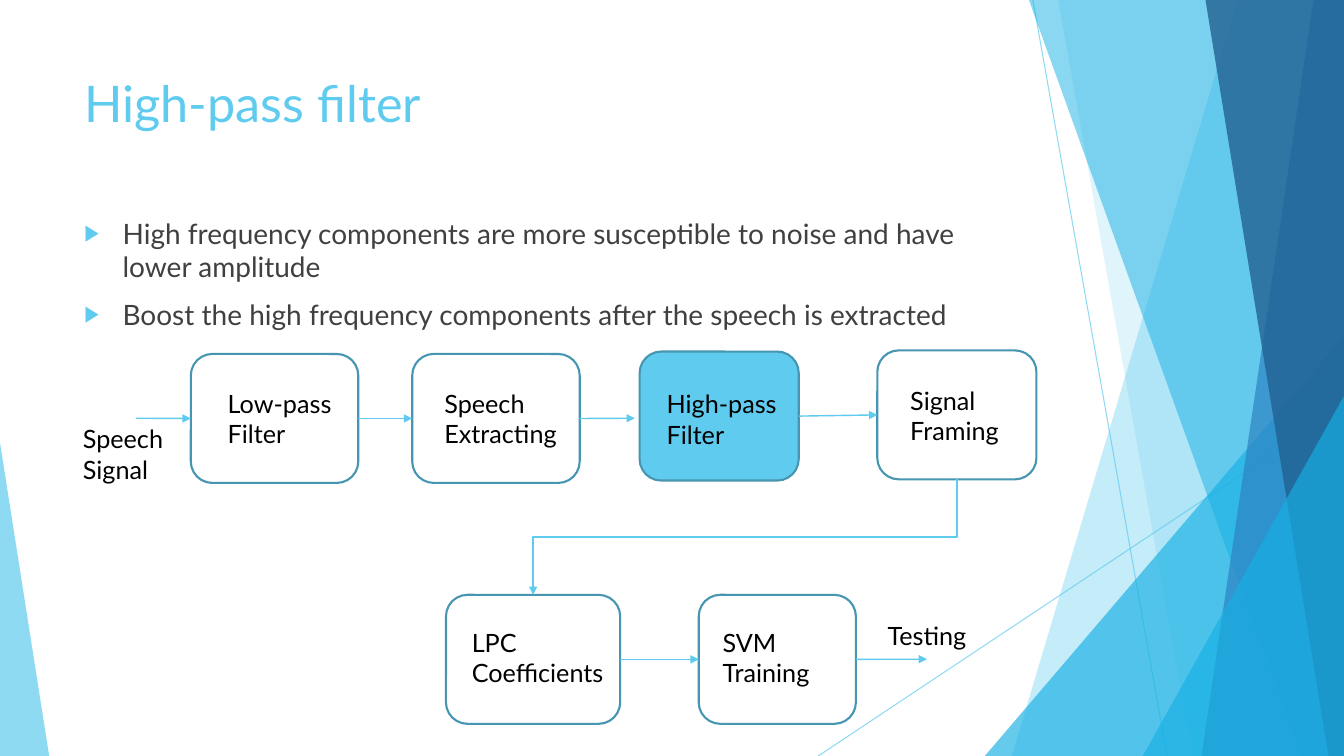
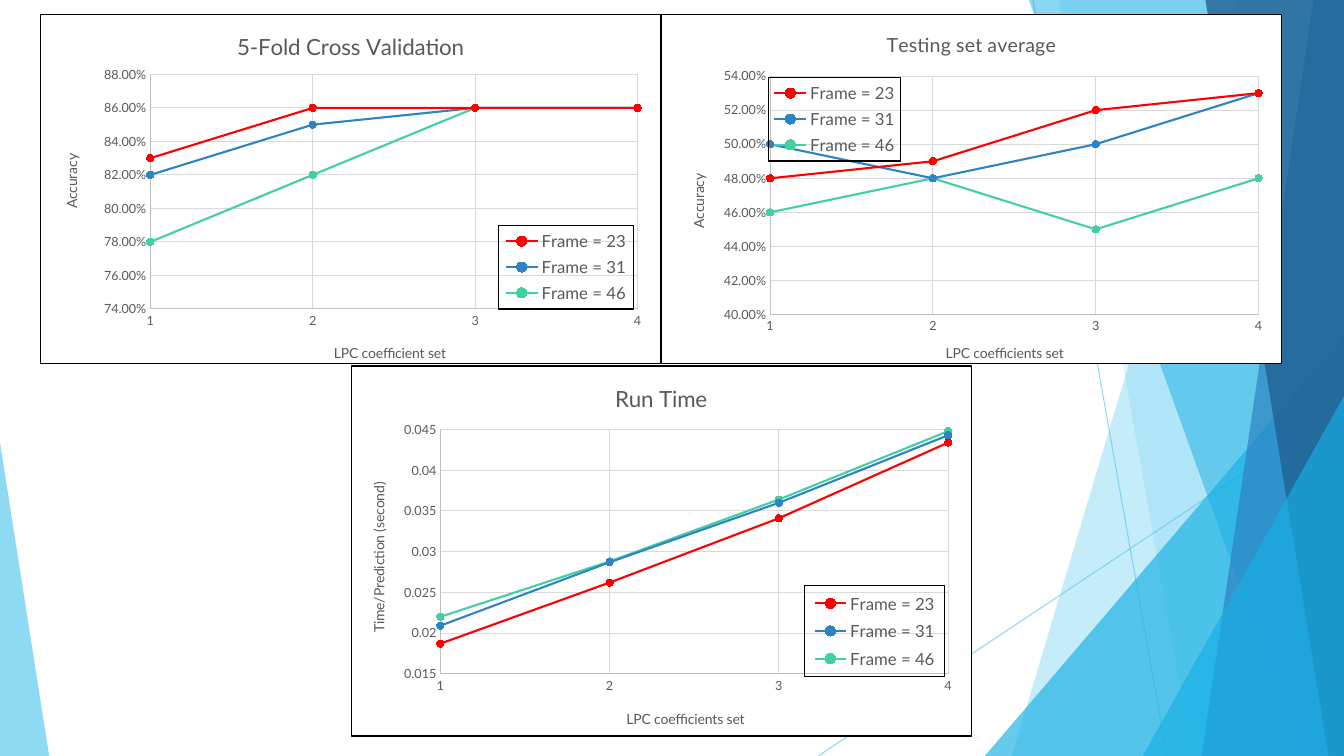
"""Build two slides on speech filtering: a flow diagram and its result charts."""
from lxml import etree
from pptx import Presentation
from pptx import util as u
from pptx.chart import data as cd
from pptx.dml import color as dc
from pptx.enum import chart as ec, shapes as es, text as et
from pptx.oxml import ns, parse_xml

WIDE, HIGH = 33.87, 19.05
HUES = {
    "sky": "5FCBEF", "cyan": "17B0E4", "blue": "2E83C3", "navy": "226292",
    "edge": "4696B1", "body": "404040", "black": "000000", "white": "FFFFFF",
    "gray": "595959", "axis": "BFBFBF", "grid": "D9D9D9",
    "red": "FF0000", "mint": "42D0A2",
}
FONT = "Lato"
ROUND = es.MSO_SHAPE.ROUNDED_RECTANGLE
PEAK = es.MSO_SHAPE.ISOSCELES_TRIANGLE


def put(item, vals):
    for key, val in vals.items():
        setattr(item, key, val)


def rgb(hue):
    return dc.RGBColor.from_string(HUES[hue])


def sub(node, tag, **vals):
    return etree.SubElement(node, ns.qn(tag), **vals)


def style(font, size, hue):
    put(font, {"name": FONT, "size": u.Pt(size), "bold": False})
    font.color.rgb = rgb(hue)


def stroke(line, hue, width):
    line.color.rgb = rgb(hue)
    line.width = u.Pt(width)


def fade(item, part):
    for node in item.element.spPr.iter(ns.qn("a:srgbClr")):
        sub(node, "a:alpha", val=str(part * 1000))


def frame(fill):
    paint = f'<a:solidFill><a:srgbClr val="{HUES[fill]}"/></a:solidFill>' if fill else "<a:noFill/>"
    return parse_xml(
        f'<c:spPr {ns.nsdecls("c", "a")}>{paint}<a:ln w="9525"><a:solidFill>'
        f'<a:srgbClr val="{HUES["black"]}"/></a:solidFill></a:ln></c:spPr>')


def layout(box, inner=False):
    node = parse_xml(f'<c:layout {ns.nsdecls("c")}><c:manualLayout/></c:layout>')
    spot = node[0]
    if inner:
        sub(spot, "c:layoutTarget", val="inner")
    for tag in ("xMode", "yMode"):
        sub(spot, "c:" + tag, val="edge")
    for tag, val in zip("xywh", box):
        sub(spot, "c:" + tag, val=str(val))
    return node


def lay(host, after, box, inner=False):
    for old in host.findall(ns.qn("c:layout")):
        host.remove(old)
    node = layout(box, inner)
    if after:
        host.find(ns.qn(after)).addnext(node)
    else:
        host.insert(0, node)


class Deck:
    def __init__(self):
        self.show = Presentation()
        put(self.show, {"slide_width": u.Cm(WIDE), "slide_height": u.Cm(HIGH)})
        self.draw = None

    def page(self):
        self.draw = self.show.slides.add_slide(self.show.slide_layouts[6]).shapes
        for ends in ((26.03, 0, 29.41, HIGH), (WIDE, 10.24, 20.62, HIGH)):
            fade(self.link(*ends, width=0.75), 70)
        self.band(31.19, 25.5, "sky", 36)
        self.band(26.67, 30.05, "sky", 20)
        self.peak((24.82, 8.46, 9.05, 10.59), 1, "cyan", 66)
        self.band(25.93, 32.79, "cyan", 50)
        self.band(33.1, 30.28, "blue", 70)
        self.band(30.38, 33.48, "navy", 80)
        self.peak((28.8, 9.98, 5.07, 9.07), 1, "cyan", 66)
        self.peak((0, 11.15, 1.24, 7.9), 0, "sky", 70)

    def paint(self, item, hue, part):
        item.shadow.inherit = False
        item.fill.solid()
        item.fill.fore_color.rgb = rgb(hue)
        item.line.fill.background()
        fade(item, part)

    def band(self, top, foot, hue, part):
        pen = self.draw.build_freeform(u.Cm(top), 0)
        spots = ((WIDE, 0), (WIDE, HIGH), (foot, HIGH))
        pen.add_line_segments([(u.Cm(x), u.Cm(y)) for x, y in spots], close=True)
        self.paint(pen.convert_to_shape(), hue, part)

    def peak(self, box, tip, hue, part):
        item = self.draw.add_shape(PEAK, *map(u.Cm, box))
        item.adjustments[0] = tip
        self.paint(item, hue, part)

    def link(self, x1, y1, x2, y2, width=1.0, kind=es.MSO_CONNECTOR.STRAIGHT):
        item = self.draw.add_connector(kind, *map(u.Cm, (x1, y1, x2, y2)))
        stroke(item.line, "sky", width)
        sub(item.element.spPr, "a:effectLst")
        return item

    def arrow(self, start=None, end=None, ends=(0, 0, 0, 0)):
        item = self.link(*ends)
        if start:
            item.begin_connect(start, 3)
        if end:
            item.end_connect(end, 1)
        self.tip(item)

    def tip(self, item):
        sub(item.line._get_or_add_ln(), "a:tailEnd", type="triangle")

    def elbow(self, start, end):
        item = self.link(0, 0, 0, 0, kind=es.MSO_CONNECTOR.ELBOW)
        item.begin_connect(start, 2)
        item.end_connect(end, 0)
        left, top, wide, high = item.left, item.top, item.width, item.height
        put(item, {"left": left + (wide - high) // 2, "top": top + (high - wide) // 2,
                   "width": high, "height": wide})
        grid = item.element.spPr.find(ns.qn("a:xfrm"))
        grid.attrib.pop("flipH", None)
        grid.set("rot", "5400000")
        self.tip(item)

    def box(self, left, top, wide, fill=None):
        item = self.draw.add_shape(ROUND, *map(u.Cm, (left, top, wide, 3.25)))
        item.shadow.inherit = False
        if fill:
            item.fill.solid()
            item.fill.fore_color.rgb = rgb(fill)
        else:
            item.fill.background()
        stroke(item.line, "edge", 1.5)
        return item

    def text(self, spot, lines, size=18, hue="black", mark=False):
        body = self.draw.add_textbox(*map(u.Cm, spot)).text_frame
        put(body, {"word_wrap": True, "vertical_anchor": et.MSO_ANCHOR.TOP})
        for num, line in enumerate(lines):
            para = body.add_paragraph() if num else body.paragraphs[0]
            if mark:
                self.mark(para)
                para.space_before = u.Pt(10 if num else 0)
            run = para.add_run()
            run.text = line
            style(run.font, size, hue)

    def mark(self, para):
        props = para._p.get_or_add_pPr()
        dent = u.Cm(0.96)
        props.set("marL", str(dent))
        props.set("indent", str(-dent))
        sub(sub(props, "a:buClr"), "a:srgbClr", val=HUES["sky"])
        sub(props, "a:buSzPct", val="80000")
        sub(props, "a:buFont", typeface="Arial")
        sub(props, "a:buChar", char="▶")

    def name(self, item, words, size):
        body = item.text_frame
        body.text = words
        style(body.paragraphs[0].runs[0].font, size, "gray")

    def axis(self, axis, words, form, span):
        put(axis, {"has_major_gridlines": True, "has_title": True,
                   "major_tick_mark": ec.XL_TICK_MARK.NONE,
                   "minor_tick_mark": ec.XL_TICK_MARK.NONE,
                   "minimum_scale": span[0], "maximum_scale": span[1],
                   "major_unit": span[2]})
        put(axis.tick_labels, {"number_format": form, "number_format_is_linked": False})
        style(axis.tick_labels.font, 9, "gray")
        stroke(axis.format.line, "axis", 0.75)
        stroke(axis.major_gridlines.format.line, "grid", 0.75)
        self.name(axis.axis_title, words, 10)

    def chart(self, spot, title, size, names, form, rows, span, plot, key, tags):
        data = cd.XyChartData()
        for num, row in zip((23, 31, 46), rows):
            series = data.add_series(f"Frame = {num}")
            for x, y in enumerate(row, 1):
                series.add_data_point(x, y)
        kind = ec.XL_CHART_TYPE.XY_SCATTER_LINES
        chart = self.draw.add_chart(kind, *map(u.Cm, spot), data).chart
        style(chart.font, 10, "black")
        put(chart, {"has_title": True, "has_legend": True})
        self.name(chart.chart_title, title, size)
        self.axis(chart.category_axis, names[0], "General", (1, 4, 1))
        self.axis(chart.value_axis, names[1], form, span)
        chart.plots[0].vary_by_categories = False
        for series, hue in zip(chart.plots[0].series, ("red", "blue", "mint")):
            series.smooth = False
            stroke(series.format.line, hue, 1.5)
            put(series.marker, {"style": ec.XL_MARKER_STYLE.CIRCLE, "size": 5})
            look = series.marker.format
            look.fill.solid()
            look.fill.fore_color.rgb = rgb(hue)
            stroke(look.line, hue, 0.75)
        put(chart.legend, {"position": ec.XL_LEGEND_POSITION.BOTTOM,
                           "include_in_layout": True})
        style(chart.legend.font, 12, "gray")
        self.place(chart.element.find(ns.qn("c:chart")), plot, key, tags)

    def place(self, root, plot, key, tags):
        root.addnext(frame("white"))
        area = root.find(ns.qn("c:plotArea"))
        lay(area, None, plot, inner=True)
        for axis, tag in zip(area.findall(ns.qn("c:valAx")), tags):
            lay(axis.find(ns.qn("c:title")), "c:tx", tag)
        legend = root.find(ns.qn("c:legend"))
        lay(legend, "c:legendPos", key)
        legend.find(ns.qn("c:overlay")).addnext(frame(None))


def flow(deck):
    deck.page()
    deck.text((1.88, 1.7, 23.88, 3.66), ["High-pass filter"], 36, "sky")
    deck.text((1.88, 5.32, 23.88, 10.77), [
        "High frequency components are more susceptible to noise and have lower amplitude",
        "Boost the high frequency components after the speech is extracted",
    ], 20, "body", mark=True)
    low = deck.box(4.81, 8.92, 4.22)
    speech = deck.box(10.39, 8.92, 4.22)
    high = deck.box(16.12, 8.86, 4.01, "sky")
    signal = deck.box(22.11, 8.83, 4.01)
    coeff = deck.box(11.24, 14.99, 4.39)
    train = deck.box(17.61, 14.99, 3.96)
    deck.arrow(end=low, ends=(3.43, 10.54, 4.81, 10.54))
    deck.arrow(low, speech)
    deck.arrow(speech, ends=(14.61, 10.54, 16, 10.54))
    deck.arrow(high, signal)
    deck.elbow(signal, coeff)
    deck.arrow(coeff, train)
    deck.arrow(train, ends=(21.57, 16.61, 23.36, 16.61))
    for left, top, wide, *lines in (
        (1.84, 10.55, 3.15, "Speech Signal"),
        (5.49, 9.65, 3.53, "Low-pass Filter"),
        (10.95, 9.65, 3.61, "Speech Extracting"),
        (16.55, 9.67, 3.53, "High-pass Filter"),
        (22.69, 9.59, 2.84, "Signal Framing"),
        (11.64, 15.68, 3.99, "LPC Coefficients"),
        (17.96, 15.68, 3.63, "SVM", "Training"),
        (22.12, 15.5, 3.15, "Testing"),
    ):
        deck.text((left, top, wide, 1.02 if lines == ["Testing"] else 1.8), lines)


def stats(deck):
    deck.page()
    left, top, wide, high = 1.01, 0.35, 15.65, 8.86
    deck.chart((left, top, wide, high), "5-Fold Cross Validation", 16,
               ("LPC coefficient set", "Accuracy"), "0.00%",
               ((0.83, 0.86, 0.86, 0.86), (0.82, 0.85, 0.86, 0.86),
                (0.78, 0.82, 0.86, 0.86)), (0.74, 0.88, 0.02),
               (0.177, 0.172, 0.786, 0.672), (0.738, 0.604, 0.219, 0.24),
               ((0.469, 0.934), (0.03, 0.393)))
    deck.chart((left + wide / 2, top + high, wide, 9.35), "Run Time", 16,
               ("LPC coefficients set", "Time/Prediction (second)"), "General",
               ((0.0187, 0.0262, 0.0341, 0.0434), (0.0209, 0.0287, 0.036, 0.0443),
                (0.022, 0.0288, 0.0364, 0.0448)), (0.015, 0.045, 0.005),
               (0.144, 0.172, 0.819, 0.66), (0.732, 0.594, 0.225, 0.245),
               ((0.44, 0.92),))
    deck.chart((left + wide, top, wide, high), "Testing set average", 14,
               ("LPC coefficients set", "Accuracy"), "0.00%",
               ((0.48, 0.49, 0.52, 0.53), (0.5, 0.48, 0.5, 0.53),
                (0.46, 0.48, 0.45, 0.48)), (0.4, 0.54, 0.02),
               (0.175, 0.177, 0.788, 0.683), (0.172, 0.18, 0.214, 0.24),
               ((0.454, 0.934),))


def main():
    deck = Deck()
    flow(deck)
    stats(deck)
    deck.show.save("out.pptx")


if __name__ == "__main__":
    main()
